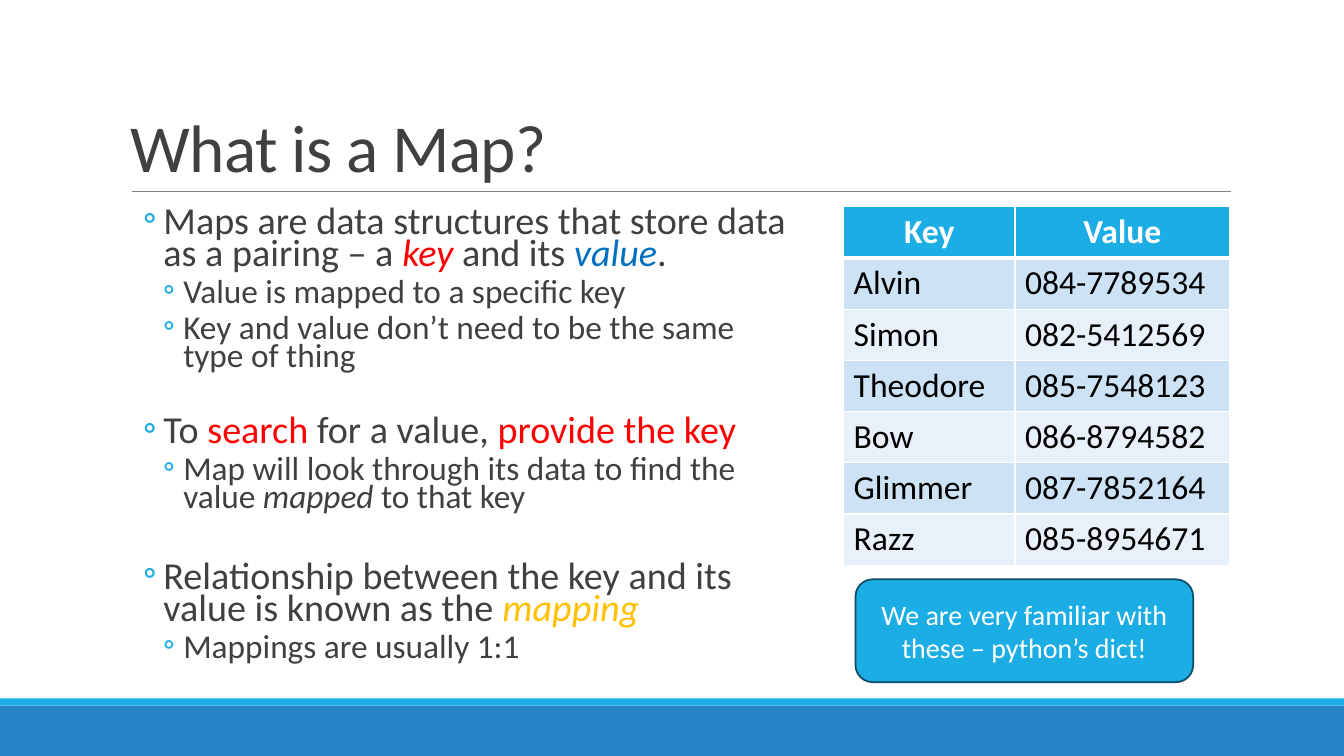
from lxml import etree
from pptx import Presentation
from pptx import util as u
from pptx.dml.color import RGBColor
from pptx.enum import shapes, text
from pptx.oxml import ns

FONT = "Calibri"
WHITE = RGBColor(0xFF, 0xFF, 0xFF)
BLACK = RGBColor(0, 0, 0)
DARK = RGBColor(0x40, 0x40, 0x40)
GREY = RGBColor(0x80, 0x80, 0x80)
CYAN = RGBColor(0x1C, 0xAD, 0xE4)
BLUE = RGBColor(0x26, 0x83, 0xC6)
NAVY = RGBColor(0x0C, 0x4C, 0x64)
RED = RGBColor(0xFF, 0, 0)
VALUE_BLUE = RGBColor(0, 0x70, 0xC0)
GOLD = RGBColor(0xFF, 0xC0, 0)
ROW_FILLS = (RGBColor(0xE8, 0xF1, 0xFA), RGBColor(0xCD, 0xE3, 0xF5))

# Bullets: level, space before in points, runs of (text, colour, italic)
BULLETS = [
    (1, 2, [("Maps are data structures that store data as a pairing – a ", DARK, False),
            ("key", RED, True), (" and its ", DARK, False),
            ("value", VALUE_BLUE, True), (".", DARK, False)]),
    (2, 2, [("Value is mapped to a specific key", DARK, False)]),
    (2, 2, [("Key and value don’t need to be the same type of thing", DARK, False)]),
    (1, 28, [("To ", DARK, False), ("search", RED, False),
             (" for a value, ", DARK, False), ("provide the key", RED, False)]),
    (2, 2, [("Map will look through its data to find the value ", DARK, False),
            ("mapped ", DARK, True), ("to that key", DARK, False)]),
    (1, 31, [("Relationship between the key and its value is known as the ", DARK, False),
             ("mapping", GOLD, True)]),
    (2, 2, [("Mappings are usually 1:1", DARK, False)]),
]
LEVEL_SIZES = {1: 27.2, 2: 23.8}
LEVEL_INDENTS = {1: u.Cm(1.07), 2: u.Cm(1.57)}
HANGING = u.Cm(0.51)

PHONE_BOOK = [
    ("Key", "Value"),
    ("Alvin", "084-7789534"),
    ("Simon", "082-5412569"),
    ("Theodore", "085-7548123"),
    ("Bow", "086-8794582"),
    ("Glimmer", "087-7852164"),
    ("Razz", "085-8954671"),
]


def add_child(parent, tag, **attributes):
    return etree.SubElement(parent, ns.qn(tag), attributes)


def set_font(font, size, color, bold=False):
    font.name = FONT
    font.size = u.Pt(size)
    font.color.rgb = color
    font.bold = bold


def add_block(slide, kind, left, top, width, height, fill):
    shape = slide.shapes.add_shape(kind, u.Cm(left), u.Cm(top), u.Cm(width), u.Cm(height))
    shape.shadow.inherit = False
    shape.fill.solid()
    shape.fill.fore_color.rgb = fill
    shape.line.fill.background()
    return shape


def add_rule(slide, left, right, y):
    rule = slide.shapes.add_connector(
        shapes.MSO_CONNECTOR.STRAIGHT, u.Cm(left), u.Cm(y), u.Cm(right), u.Cm(y))
    rule.line.color.rgb = GREY
    rule.line.width = u.Pt(0.5)
    add_child(rule._element.spPr, "a:effectLst")


def add_text_frame(slide, left, top, width, height):
    box = slide.shapes.add_textbox(u.Cm(left), u.Cm(top), u.Cm(width), u.Cm(height))
    box.text_frame.word_wrap = True
    return box.text_frame


def add_title(slide, title):
    frame = add_text_frame(slide, 3.05, 0.79, 27.94, 4.04)
    frame.vertical_anchor = text.MSO_ANCHOR.BOTTOM
    paragraph = frame.paragraphs[0]
    paragraph.line_spacing = 0.85
    run = paragraph.add_run()
    run.text = title
    set_font(paragraph.font, 48, DARK)
    run.font._element.set("spc", "-50")


def add_bullet(paragraph, level, space_before, runs):
    paragraph.level = level
    paragraph.line_spacing = 0.7
    paragraph.space_before = u.Pt(space_before)
    paragraph.space_after = u.Pt(4)
    properties = paragraph._p.get_or_add_pPr()
    properties.set("marL", str(LEVEL_INDENTS[level]))
    properties.set("indent", str(-HANGING))
    bullet_color = add_child(properties, "a:buClr")
    add_child(bullet_color, "a:srgbClr", val=str(CYAN))
    add_child(properties, "a:buFont", typeface=FONT)
    add_child(properties, "a:buChar", char="◦")
    for wording, color, italic in runs:
        run = paragraph.add_run()
        run.text = wording
        set_font(run.font, LEVEL_SIZES[level], color)
        run.font.italic = italic


def add_bullets(slide):
    frame = add_text_frame(slide, 3.05, 5.13, 16.87, 12.07)
    frame.margin_left = frame.margin_right = 0
    for index, bullet in enumerate(BULLETS):
        paragraph = frame.add_paragraph() if index else frame.paragraphs[0]
        add_bullet(paragraph, *bullet)


def add_cell_border(cell, tag, points):
    border = add_child(cell._tc.get_or_add_tcPr(), tag, w=str(u.Pt(points)))
    add_child(add_child(border, "a:solidFill"), "a:srgbClr", val=str(WHITE))


def fill_cell(cell, wording, row):
    header = row == 0
    for tag, points in (("a:lnL", 1), ("a:lnR", 1),
                        ("a:lnT", 3 if row == 1 else 1), ("a:lnB", 3 if header else 1)):
        add_cell_border(cell, tag, points)
    cell.fill.solid()
    cell.fill.fore_color.rgb = CYAN if header else ROW_FILLS[row % 2]
    cell.text = wording
    paragraph = cell.text_frame.paragraphs[0]
    paragraph.alignment = text.PP_ALIGN.CENTER if header else text.PP_ALIGN.LEFT
    set_font(paragraph.font, 24, WHITE if header else BLACK, bold=header)


def add_phone_book(slide):
    row_height = u.Cm(1.29)
    table = slide.shapes.add_table(
        len(PHONE_BOOK), 2, u.Cm(21.26), u.Cm(5.21),
        u.Cm(9.73), row_height * len(PHONE_BOOK)).table
    table.columns[0].width = u.Cm(4.32)
    table.columns[1].width = u.Cm(5.41)
    for row, entry in enumerate(PHONE_BOOK):
        for column, wording in enumerate(entry):
            fill_cell(table.cell(row, column), wording, row)


def add_callout(slide, wording):
    callout = add_block(slide, shapes.MSO_SHAPE.ROUNDED_RECTANGLE, 21.56, 14.6, 8.51, 2.59, CYAN)
    callout.line.color.rgb = NAVY
    callout.line.width = u.Pt(1.25)
    frame = callout.text_frame
    frame.word_wrap = True
    frame.vertical_anchor = text.MSO_ANCHOR.MIDDLE
    paragraph = frame.paragraphs[0]
    paragraph.text = wording
    paragraph.alignment = text.PP_ALIGN.CENTER
    set_font(paragraph.font, 20, WHITE)


def main():
    presentation = Presentation()
    presentation.slide_width = u.Cm(33.87)
    presentation.slide_height = u.Cm(19.05)
    slide = presentation.slides.add_slide(presentation.slide_layouts[6])

    # Footer bands and title rule
    add_block(slide, shapes.MSO_SHAPE.RECTANGLE, 0, 17.78, 33.87, 1.27, BLUE)
    add_block(slide, shapes.MSO_SHAPE.RECTANGLE, 0, 17.6, 33.87, 0.18, CYAN)
    add_rule(slide, 3.33, 31.01, 4.83)

    # Title and explanation
    add_title(slide, "What is a Map?")
    add_bullets(slide)

    # Example map and remark
    add_phone_book(slide)
    add_callout(slide, "We are very familiar with these – python’s dict!")

    presentation.save("out.pptx")


if __name__ == "__main__":
    main()
